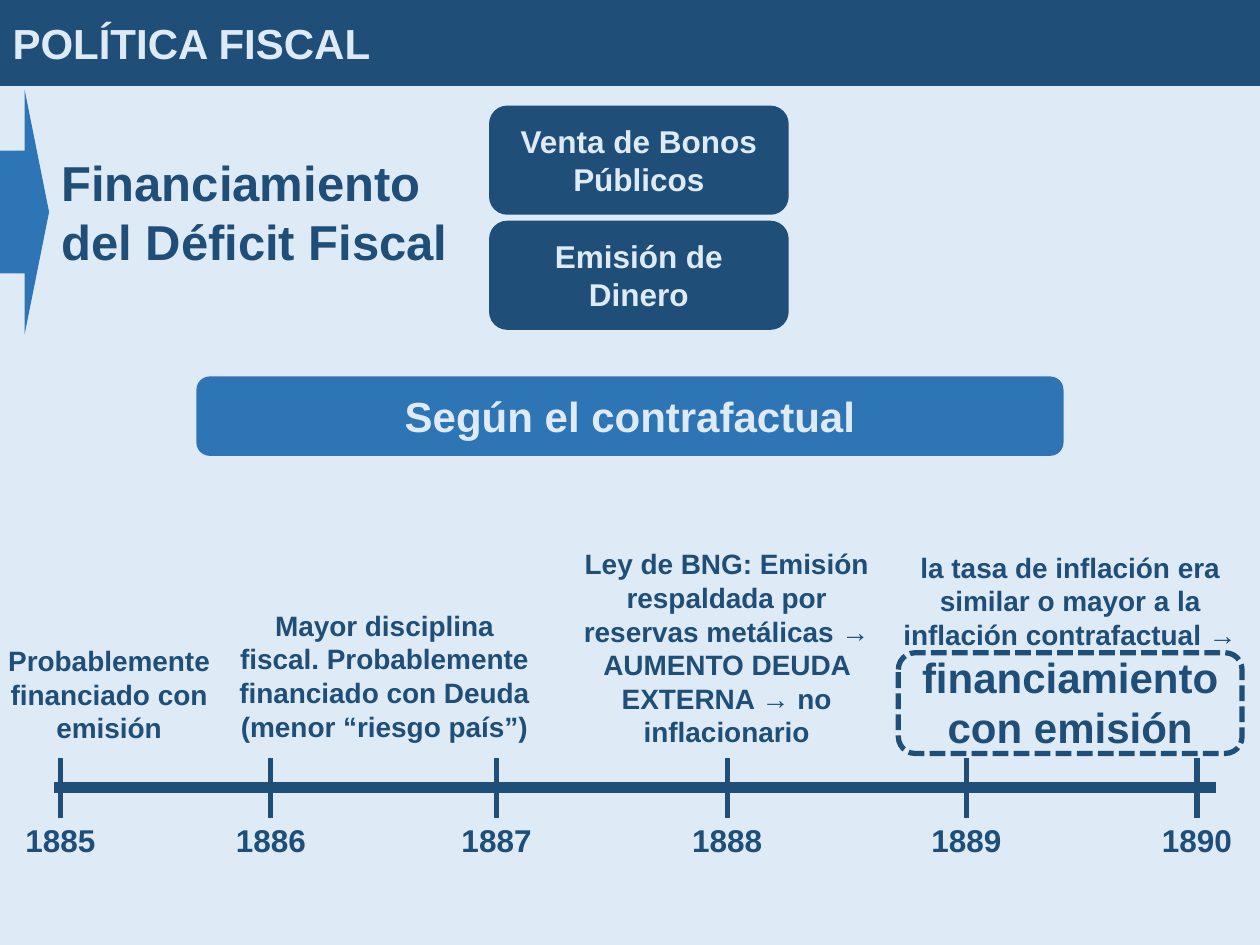
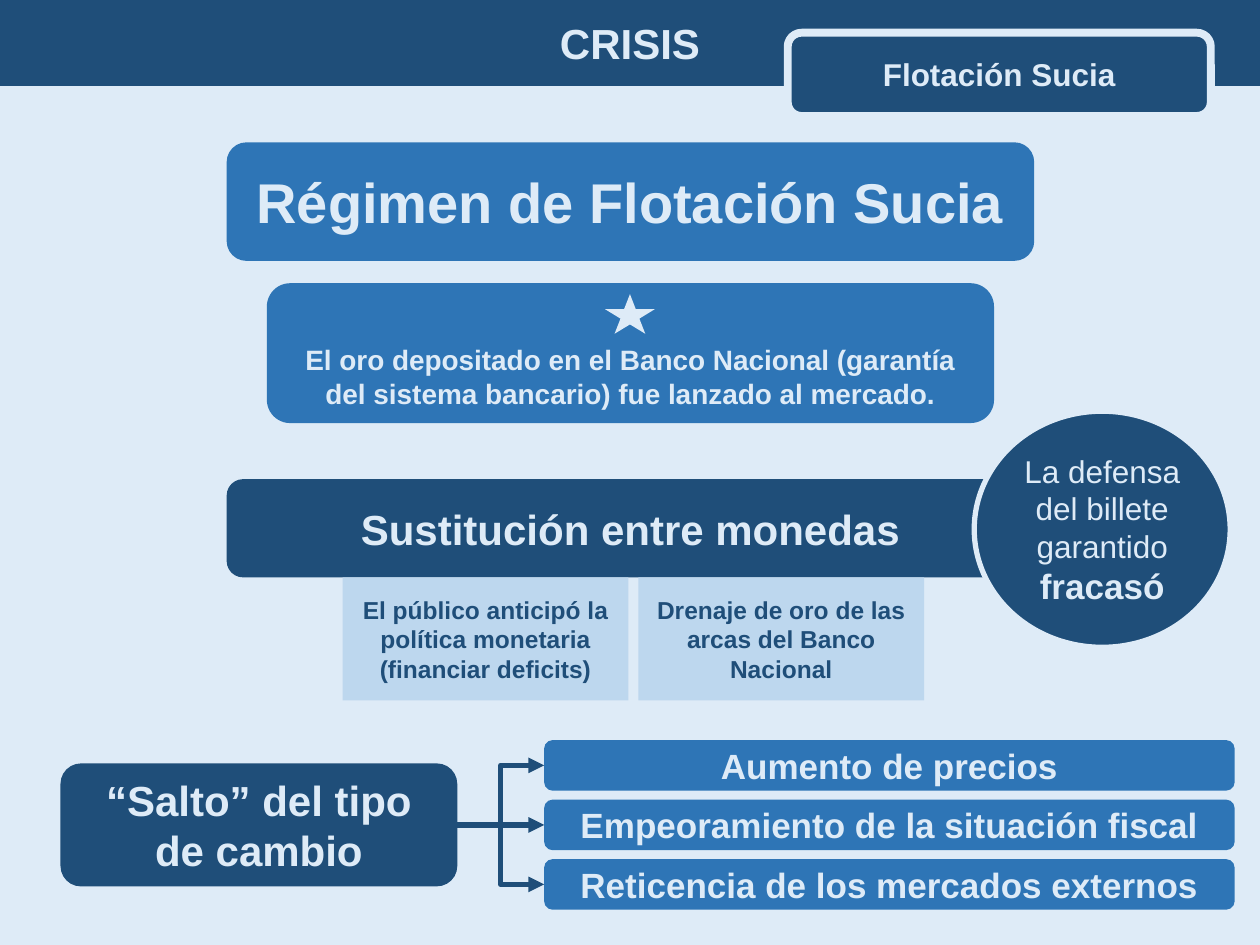
from dataclasses import dataclass
from typing import Optional

import lxml.etree
import pptx
import pptx.dml.color
import pptx.enum.dml
import pptx.enum.shapes
import pptx.enum.text
import pptx.oxml.ns
import pptx.util

Cm, Pt = pptx.util.Cm, pptx.util.Pt
Shape = pptx.enum.shapes.MSO_SHAPE
Link = pptx.enum.shapes.MSO_CONNECTOR
Align = pptx.enum.text.PP_ALIGN
Anchor = pptx.enum.text.MSO_ANCHOR
Fit = pptx.enum.text.MSO_AUTO_SIZE

# Shared look
NAVY, BLUE, SKY, PALE = "1F4E79", "2E75B6", "BDD7EE", "DEEBF7"
FONT = "Arial"
PAGE_WIDTH, PAGE_HEIGHT, BAND_HEIGHT = 25.4, 19.05, 1.73
TITLE_ONLY_LAYOUT = 5
RIGHT_SIDE, LEFT_SIDE = 3, 1


@dataclass
class Span:
    text: str
    size: float
    bold: bool = True


@dataclass
class Box:
    """A shape or, with kind None, a text box; lengths in centimetres."""
    left: float
    top: float
    width: float
    height: float
    paras: tuple = ()  # each paragraph is a tuple of spans
    kind: Optional[int] = Shape.ROUNDED_RECTANGLE
    fill: Optional[str] = None
    ink: str = PALE
    line: Optional[str] = None
    line_width: float = 3
    dash: Optional[int] = None
    align: int = Align.CENTER
    anchor: int = Anchor.MIDDLE
    wrap: bool = True


def colour(value: str):
    return pptx.dml.color.RGBColor.from_string(value)


def single(text: str, size: float) -> tuple:
    """One paragraph made of one span."""
    return ((Span(text, size),),)


def apply(target, values: dict) -> None:
    for name, value in values.items():
        setattr(target, name, value)


def write(frame, paras: tuple, ink: str, align: int) -> None:
    for index, spans in enumerate(paras):
        para = frame.paragraphs[0] if index == 0 else frame.add_paragraph()
        para.alignment = align
        for span in spans:
            run = para.add_run()
            run.text = span.text
            apply(run.font, {"name": FONT, "size": Pt(span.size), "bold": span.bold})
            run.font.color.rgb = colour(ink)


def draw_box(page, box: Box):
    place = [Cm(value) for value in (box.left, box.top, box.width, box.height)]
    if box.kind is None:
        shape = page.shapes.add_textbox(*place)
        settings = {"word_wrap": box.wrap, "auto_size": Fit.SHAPE_TO_FIT_TEXT}
    else:
        shape = page.shapes.add_shape(box.kind, *place)
        shape.shadow.inherit = False
        settings = {"word_wrap": box.wrap, "vertical_anchor": box.anchor}
        if box.fill:
            shape.fill.solid()
            shape.fill.fore_color.rgb = colour(box.fill)
        else:
            shape.fill.background()
        if box.line:
            shape.line.color.rgb = colour(box.line)
            shape.line.width = Pt(box.line_width)
            if box.dash is not None:
                shape.line.dash_style = box.dash
        else:
            shape.line.fill.background()
    apply(shape.text_frame, settings)
    write(shape.text_frame, box.paras, box.ink, box.align)
    return shape


def draw_line(page, start: tuple, end: tuple, width: float = 3,
              kind: int = Link.STRAIGHT, arrow: bool = False):
    line = page.shapes.add_connector(kind, *(Cm(value) for value in start + end))
    line.line.color.rgb = colour(NAVY)
    line.line.width = Pt(width)
    if arrow:
        head = lxml.etree.SubElement(line.line._get_or_add_ln(),
                                     pptx.oxml.ns.qn("a:tailEnd"))
        head.set("type", "triangle")
    lxml.etree.SubElement(line._element.spPr, pptx.oxml.ns.qn("a:effectLst"))
    return line


def add_page(deck, title: str, align: int):
    """Add a page whose title placeholder forms the top band."""
    page = deck.slides.add_slide(deck.slide_layouts[TITLE_ONLY_LAYOUT])
    band = page.shapes.title
    apply(band, {"left": 0, "top": 0, "width": Cm(PAGE_WIDTH), "height": Cm(BAND_HEIGHT)})
    band.fill.solid()
    band.fill.fore_color.rgb = colour(NAVY)
    apply(band.text_frame, {"word_wrap": True, "auto_size": Fit.NONE,
                            "vertical_anchor": Anchor.MIDDLE})
    write(band.text_frame, single(title, 24), PALE, align)
    return page


def build_fiscal_policy(deck) -> None:
    page = add_page(deck, "POLÍTICA FISCAL", Align.LEFT)

    # Deficit and its two sources of funding
    draw_box(page, Box(0, 1.8, 0.99, 4.95, kind=Shape.RIGHT_ARROW, fill=BLUE))
    draw_box(page, Box(0.99, 2.95, 9.3, 2.64, single("Financiamiento del Déficit Fiscal", 28),
                       kind=None, ink=NAVY, align=Align.LEFT))
    for row, source in enumerate(("Venta de Bonos Públicos", "Emisión de Dinero")):
        draw_box(page, Box(9.86, 2.13 + 2.32 * row, 6.04, 2.2, single(source, 18), fill=NAVY))
    draw_box(page, Box(3.96, 7.59, 17.48, 1.6, single("Según el contrafactual", 24), fill=BLUE))

    # Timeline
    draw_line(page, (1.09, 15.87), (24.51, 15.87), width=6)
    label_width = 1.93
    for year, x in enumerate((1.22, 5.46, 10.01, 14.66, 19.48, 24.13), start=1885):
        draw_line(page, (x, 15.28), (x, 16.48))
        draw_box(page, Box(x - label_width / 2, 16.43, label_width, 1.02, single(str(year), 18),
                           kind=None, ink=NAVY, wrap=False))

    # Notes above the timeline
    notes = (
        (-0.1, 12.85, 4.6, 2.31, single("Probablemente financiado con emisión", 16)),
        (4.5, 12.14, 6.5, 3, single("Mayor disciplina fiscal. Probablemente financiado con "
                                    "Deuda (menor “riesgo país”)", 16)),
        (11.4, 10.9, 6.5, 4.37, single("Ley de BNG: Emisión respaldada por reservas metálicas → "
                                       "AUMENTO DEUDA EXTERNA → no inflacionario", 16)),
        (17.75, 10.97, 7.65, 4.37, ((
            Span("la tasa de inflación era similar o mayor a la inflación contrafactual → ", 16),
            Span("financiamiento con emisión", 24)),)),
    )
    for note in notes:
        draw_box(page, Box(*note, kind=None, ink=NAVY))
    draw_box(page, Box(18.11, 13.16, 6.93, 2.03, line=NAVY,
                       dash=pptx.enum.dml.MSO_LINE.SQUARE_DOT))


def build_crisis(deck) -> None:
    page = add_page(deck, "CRISIS", Align.CENTER)
    draw_box(page, Box(15.88, 0.66, 8.53, 1.68, single("Flotación Sucia", 18),
                       fill=NAVY, line=PALE, line_width=4.5))

    # Regime and gold sale
    draw_box(page, Box(4.57, 2.87, 16.28, 2.39, single("Régimen de Flotación Sucia", 32),
                       fill=BLUE))
    draw_box(page, Box(5.38, 5.71, 14.66, 2.82,
                       single("El oro depositado en el Banco Nacional (garantía del sistema "
                              "bancario) fue lanzado al mercado.", 16),
                       fill=BLUE, anchor=Anchor.BOTTOM))
    draw_box(page, Box(12.2, 5.93, 1, 0.8, kind=Shape.STAR_5_POINT, fill=PALE))

    # Currency substitution and its causes
    draw_box(page, Box(4.57, 9.66, 16.28, 1.98, single("Sustitución entre monedas", 24),
                       fill=NAVY))
    causes = (
        single("El público anticipó la política monetaria", 14)
        + single("(financiar deficits)", 14),
        single("Drenaje de oro de las arcas del Banco Nacional", 14),
    )
    for column, paras in enumerate(causes):
        draw_box(page, Box(6.91 + 5.96 * column, 11.64, 5.76, 2.48, paras,
                           kind=Shape.RECTANGLE, fill=SKY, ink=NAVY))
    failure = (Span("La defensa del billete garantido ", 18, bold=False), Span("fracasó", 20))
    draw_box(page, Box(19.64, 8.29, 5.16, 4.76, (failure,), kind=Shape.OVAL,
                       fill=NAVY, line=PALE))

    # Exchange rate jump and its effects
    jump = draw_box(page, Box(1.22, 15.39, 8, 2.48, single("“Salto” del tipo de cambio", 24),
                              fill=NAVY))
    effects = (
        ("Aumento de precios", Link.ELBOW),
        ("Empeoramiento de la situación fiscal", Link.STRAIGHT),
        ("Reticencia de los mercados externos", Link.ELBOW),
    )
    for row, (effect, kind) in enumerate(effects):
        top = 14.92 + 1.2 * row
        target = draw_box(page, Box(10.97, top, 13.92, 1.02, single(effect, 20), fill=BLUE))
        arrow = draw_line(page, (9.22, 16.63), (10.97, top + 0.51), kind=kind, arrow=True)
        arrow.begin_connect(jump, RIGHT_SIDE)
        arrow.end_connect(target, LEFT_SIDE)


def main() -> None:
    deck = pptx.Presentation()
    deck.slide_width, deck.slide_height = Cm(PAGE_WIDTH), Cm(PAGE_HEIGHT)
    backdrop = deck.slide_master.background.fill
    backdrop.solid()
    backdrop.fore_color.rgb = colour(PALE)
    build_fiscal_policy(deck)
    build_crisis(deck)
    deck.save("out.pptx")


if __name__ == "__main__":
    main()
